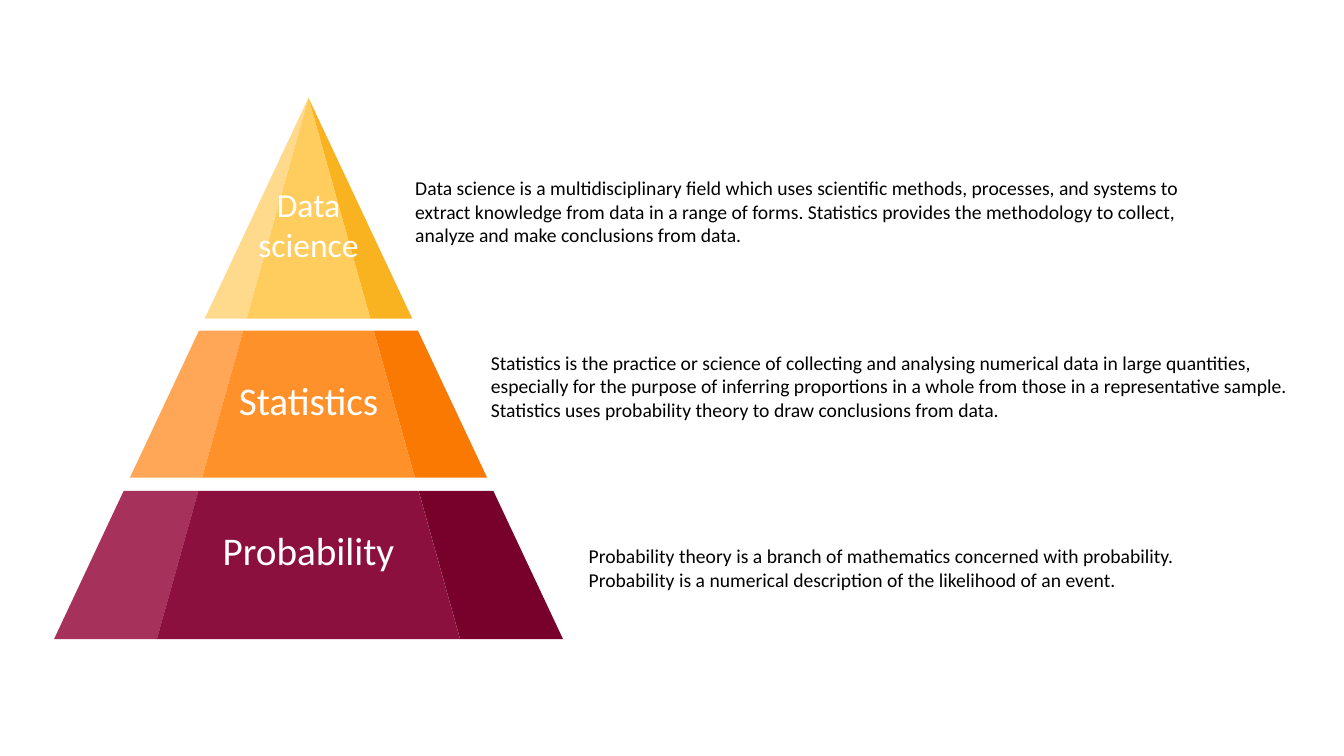
import dataclasses

import pptx
import pptx.dml.color
import pptx.enum.text
import pptx.util

Inches = pptx.util.Inches
FONT = "Calibri"
APEX = (3.06, 0.97)
OUTER = 0.47  # half-width gained per inch of height
INNER = 0.28
SPANS = ((-OUTER, -INNER), (INNER, OUTER), (-INNER, INNER))  # front goes last


@dataclasses.dataclass
class Tier:
    label: str
    size: int
    top: float
    base: float
    inset: float
    fills: tuple[str, str, str]  # left, right, front
    box: tuple[float, float, float, float]
    lines: list[str]


TIERS = [
    Tier("Probability", 28, 4.87, 6.34, 0.35, ("A6325C", "78012C", "8C103D"),
         (5.74, 5.35, 6.76, 0.57),
         ["Probability theory is a branch of mathematics concerned with probability.",
          "Probability is a numerical description of the likelihood of an event."]),
    Tier("Statistics", 28, 3.28, 4.74, 0.45, ("FFA757", "FA7902", "FF912B"),
         (4.77, 3.43, 8.33, 0.81),
         ["Statistics is the practice or science of collecting and analysing "
          "numerical data in large quantities,",
          "especially for the purpose of inferring proportions in a whole from "
          "those in a representative sample.",
          "Statistics uses probability theory to draw conclusions from data."]),
    Tier("Data science", 24, 0.97, 3.16, 0.85, ("FFDA8C", "FAB320", "FFCC5E"),
         (4.02, 1.7, 8.33, 0.81),
         ["Data science is a multidisciplinary field which uses scientific methods, "
          "processes, and systems to extract knowledge from data in a range of forms. "
          "Statistics provides the methodology to collect, analyze and make "
          "conclusions from data."]),
]


def paint(target, code: str) -> None:
    target.rgb = pptx.dml.color.RGBColor.from_string(code)


def write(frame, lines: list[str], size: int, code: str, align) -> None:
    frame.word_wrap = True
    frame.vertical_anchor = pptx.enum.text.MSO_ANCHOR.TOP
    for i, line in enumerate(lines):
        para = frame.paragraphs[0] if i == 0 else frame.add_paragraph()
        para.alignment = align
        run = para.add_run()
        run.text = line
        run.font.name = FONT
        run.font.size = pptx.util.Pt(size)
        paint(run.font.color, code)


def draw_face(slide, tier: Tier, left: float, right: float, code: str):
    """Draw the band of a tier between two slopes that meet at the apex."""
    corners = [(APEX[0] + slope * (y - APEX[1]), y)
               for slope, y in ((left, tier.top), (right, tier.top),
                                (right, tier.base), (left, tier.base))]
    points = [(Inches(x), Inches(y)) for x, y in corners]
    pen = slide.shapes.build_freeform(*points[0])
    pen.add_line_segments(points[1:], close=True)
    face = pen.convert_to_shape()
    face.shadow.inherit = False
    face.fill.solid()
    paint(face.fill.fore_color, code)
    face.line.fill.background()
    return face


def draw_tier(slide, tier: Tier) -> None:
    # Faces, with the labelled front above the sides
    faces = [draw_face(slide, tier, left, right, code)
             for (left, right), code in zip(SPANS, tier.fills)]

    # Label on the front face
    frame = faces[-1].text_frame
    frame.margin_left = frame.margin_right = Inches(0.05)
    frame.margin_top = Inches(tier.inset)
    frame.margin_bottom = 0
    write(frame, [tier.label], tier.size, "FFFFFF", pptx.enum.text.PP_ALIGN.CENTER)

    # Text at the side
    note = slide.shapes.add_textbox(*map(Inches, tier.box))
    write(note.text_frame, tier.lines, 14, "000000", pptx.enum.text.PP_ALIGN.LEFT)


def main() -> None:
    deck = pptx.Presentation()
    deck.slide_width, deck.slide_height = Inches(13.33), Inches(7.5)
    slide = deck.slides.add_slide(deck.slide_layouts[6])
    for tier in TIERS:
        draw_tier(slide, tier)
    deck.save("out.pptx")


if __name__ == "__main__":
    main()
